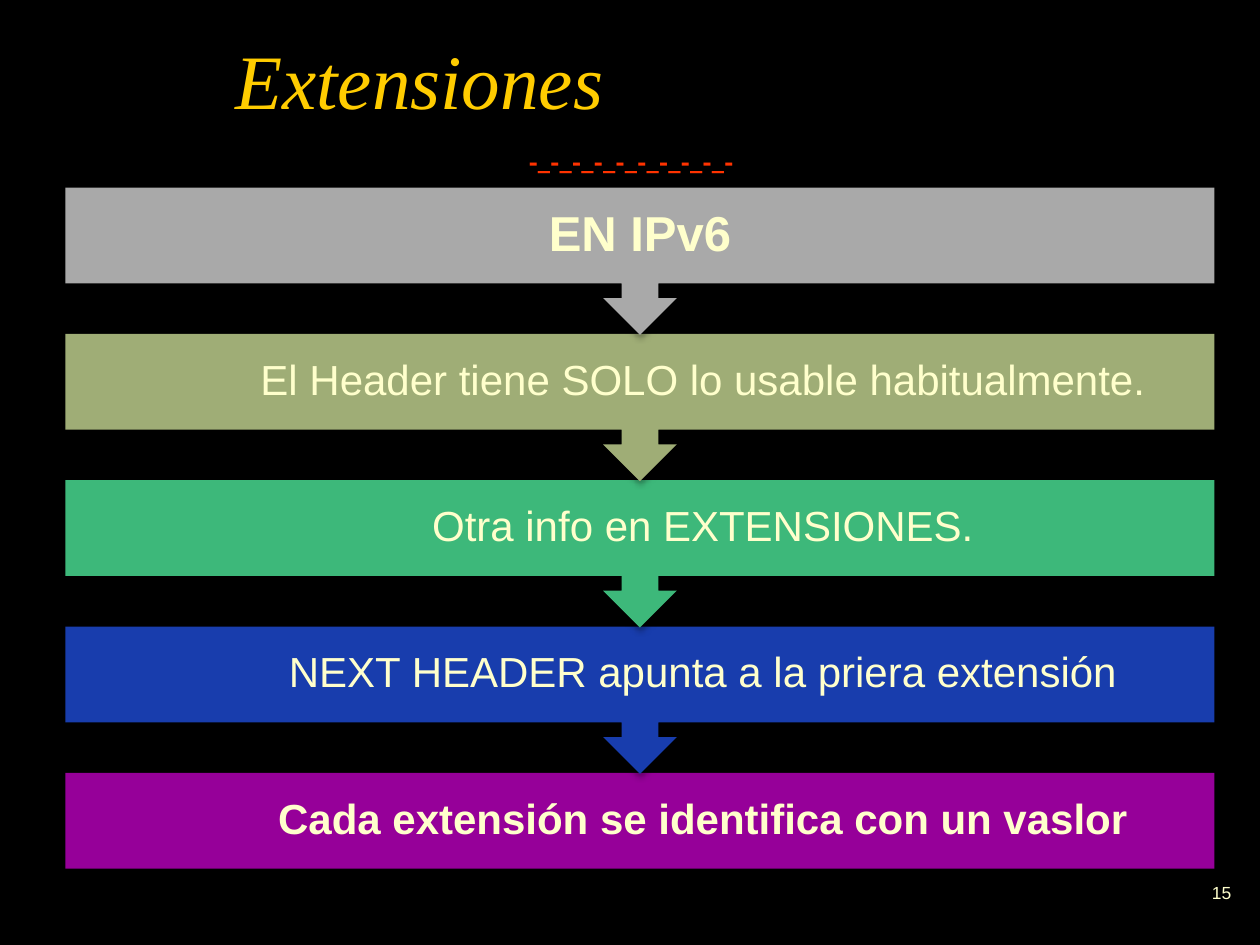
from lxml import etree
from pptx import Presentation, util as u
from pptx.dml.color import RGBColor
from pptx.enum import shapes, text
from pptx.oxml import ns

CREAM = "FFFFCC"
SHADOW = (
    '<a:effectLst xmlns:a="%s"><a:outerShdw blurRad="39370" dist="22860" dir="5400000" '
    'rotWithShape="0"><a:srgbClr val="000000"><a:alpha val="35000"/></a:srgbClr>'
    "</a:outerShdw></a:effectLst>" % ns.nsuri("a")
)


def colour(value):
    return RGBColor.from_string(value)


class SlideBuilder:
    """Holds the slide and its text style; one method per kind of element."""

    def __init__(self, slide, font="Arial", text_colour=CREAM):
        self.slide = slide
        self.font = font
        self.text_colour = text_colour

    def background(self, value):
        fill = self.slide.background.fill
        fill.solid()
        fill.fore_color.rgb = colour(value)

    def label(self, words, box, size, align=text.PP_ALIGN.CENTER, anchor=text.MSO_ANCHOR.MIDDLE,
              margins=(0.25, 0.13, 0.25, 0.13), font=None, value=None,
              bold=False, italic=False, spacing=1.0):
        shape = self.slide.shapes.add_textbox(*map(u.Cm, box))
        frame = shape.text_frame
        frame.word_wrap = True
        frame.vertical_anchor = anchor
        (frame.margin_left, frame.margin_top,
         frame.margin_right, frame.margin_bottom) = map(u.Cm, margins)
        paragraph = frame.paragraphs[0]
        paragraph.text = words
        paragraph.alignment = align
        paragraph.line_spacing = spacing
        paragraph.font.name = font or self.font
        paragraph.font.size = u.Pt(size)
        paragraph.font.bold = bold
        paragraph.font.italic = italic
        paragraph.font.color.rgb = colour(value or self.text_colour)

    def block(self, kind, box, value):
        shape = self.slide.shapes.add_shape(kind, *map(u.Cm, box))
        shape.fill.solid()
        shape.fill.fore_color.rgb = colour(value)
        shape.line.fill.background()
        shape._element.spPr.append(etree.fromstring(SHADOW))
        return shape

    def down_callout(self, box, value):
        shape = self.block(shapes.MSO_SHAPE.UP_ARROW_CALLOUT, box, value)
        shape.rotation = 180
        for index, amount in enumerate((0.25, 0.25, 0.25, 0.65)):
            shape.adjustments[index] = amount


def main():
    presentation = Presentation()
    presentation.slide_width = u.Cm(25.4)
    presentation.slide_height = u.Cm(19.05)
    builder = SlideBuilder(presentation.slides.add_slide(presentation.slide_layouts[6]))
    builder.background("000000")

    # Divider, title and slide number
    builder.label("-_-_-_-_-_-_-_-_-_-", (3.05, 2.97, 19.35, 0.51), 14, font="Montserrat",
                  value="FF3300", bold=True, anchor=text.MSO_ANCHOR.TOP, margins=(0, 0, 0, 0))
    builder.label("Extensiones", (4.5, 0.61, 17.48, 1.96), 44, text.PP_ALIGN.LEFT,
                  font="Times New Roman", value="FFCC00", italic=True)
    builder.label("15", (19.79, 17.35, 5.28, 1.27), 10, text.PP_ALIGN.RIGHT)

    # Chain of steps: words, fill, text size, bold, margin, extra left indent
    steps = [
        ("EN IPv6", "A9A9A9", 28, True, 0.56, 0),
        ("El Header tiene SOLO lo usable habitualmente.", "9FAD76", 24, False, 0.41, 2.54),
        ("Otra info en EXTENSIONES.", "3DB87A", 24, False, 0.48, 2.54),
        ("NEXT HEADER apunta a la priera extensión", "183DAD", 24, False, 0.48, 2.54),
        ("Cada extensión se identifica con un vaslor", "960099", 24, True, 0.48, 2.54),
    ]
    left, first_top, width, pitch = 1.32, 3.78, 23.16, 2.95
    bar_height, callout_height = 1.93, 2.97

    # Built from the last step up, so that each arrow tip lies over the next bar
    for index, (words, fill, size, bold, margin, indent) in reversed(list(enumerate(steps))):
        top = first_top + index * pitch
        bar = (left, top, width, bar_height)
        if index == len(steps) - 1:
            builder.block(shapes.MSO_SHAPE.RECTANGLE, bar, fill)
        else:
            builder.down_callout((left, top, width, callout_height), fill)
        builder.label(words, bar, size, bold=bold, spacing=0.9,
                      margins=(margin + indent, margin, margin, margin))

    presentation.save("out.pptx")


if __name__ == "__main__":
    main()
